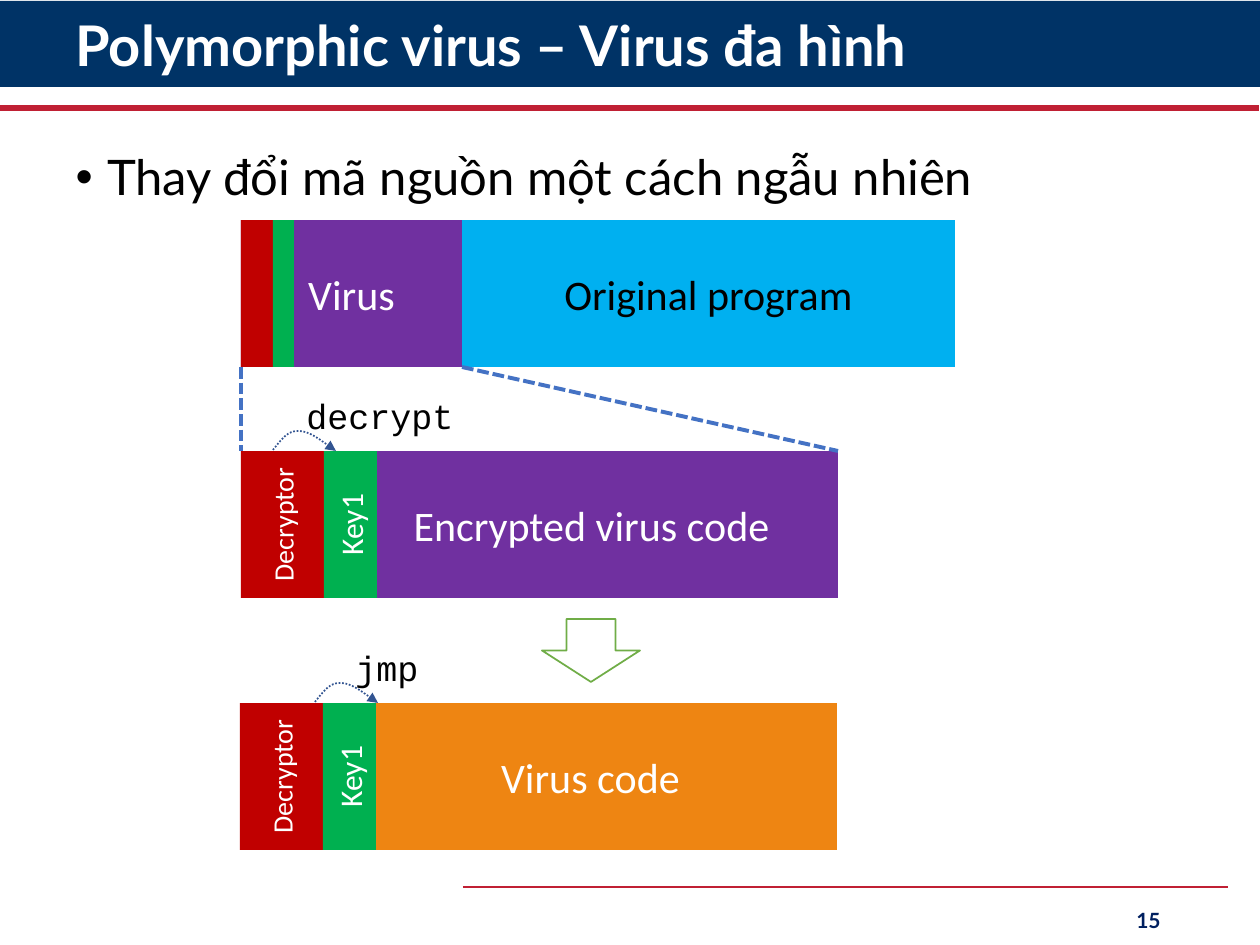
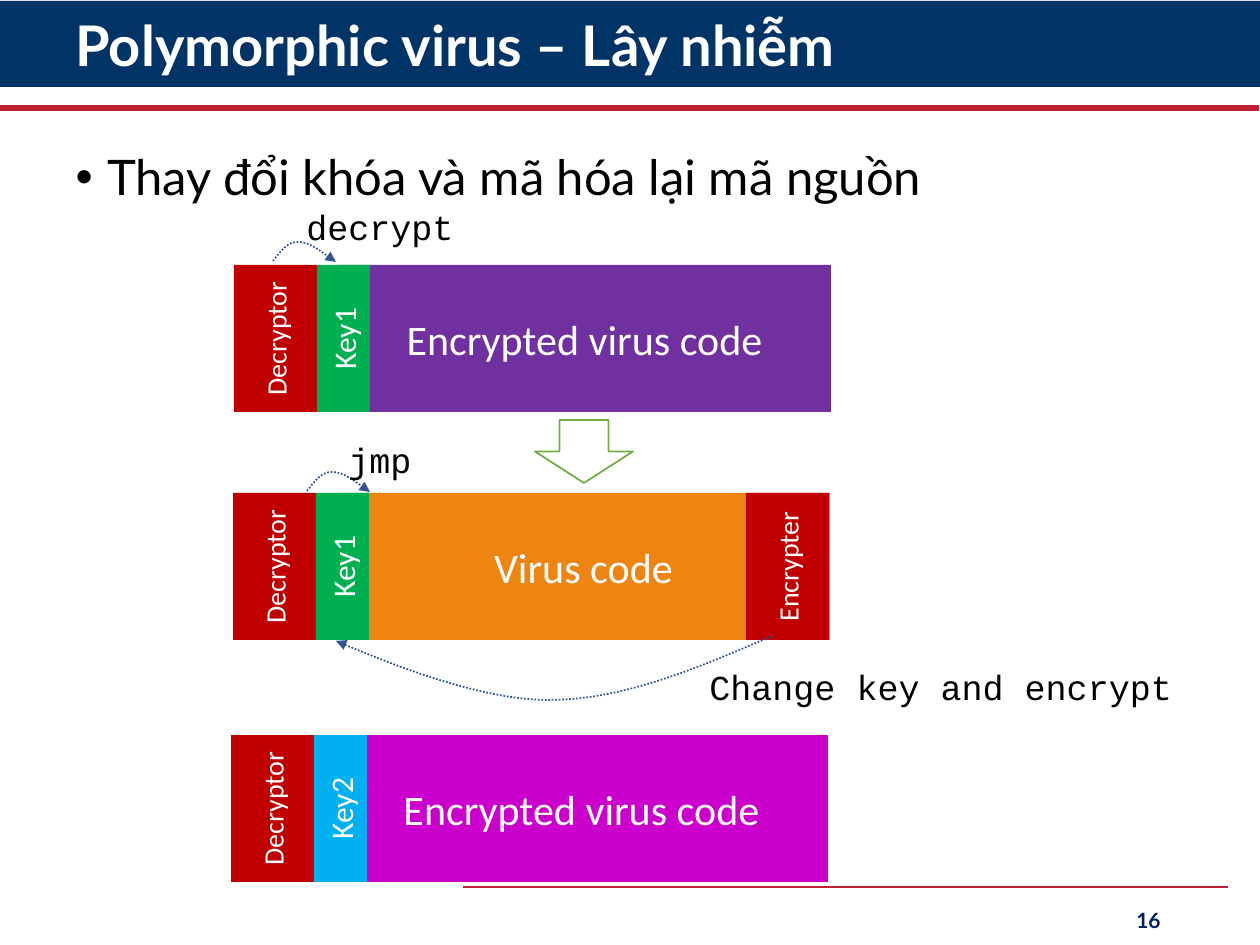
import lxml.etree
import pptx
import pptx.dml.color
import pptx.enum.dml
import pptx.enum.shapes
import pptx.enum.text
import pptx.oxml.ns
import pptx.util

PX = 914400 / 126
ALIGN = pptx.enum.text.PP_ALIGN
ANCHOR = pptx.enum.text.MSO_ANCHOR
DASH = pptx.enum.dml.MSO_LINE
SHAPE = pptx.enum.shapes.MSO_SHAPE

NAVY, CRIMSON, NUMBER_BLUE = "003366", "C02034", "002060"
WHITE, BLACK = "FFFFFF", "000000"
RED, GREEN, PURPLE, SKY = "C00000", "00B050", "7030A0", "00B0F0"
ORANGE, MAGENTA = "EE8512", "CC00CC"
DASH_BLUE, CURVE_BLUE, ARROW_GREEN = "4472C4", "325491", "70AD47"
HEADING_FONT, BLOCK_FONT, CODE_FONT = "Lato", "Calibri", "Courier New"

BLOCK_HEIGHT = 147
DECRYPTOR_WIDTH, KEY_WIDTH = 83, 53
CODE_OFFSET, CODE_WIDTH = 104, 493

# Cubic curve points, relative to the start
HOP_CURVE = [(8, -10), (15, -20), (26, -19), (36, -19), (59, -2), (63, 1)]
RETURN_CURVE = [(-76, 33), (-150, 64), (-222, 64),
                (-295, 65), (-429, 8), (-436, 5)]


def px(*lengths):
    return [pptx.util.Emu(round(length * PX)) for length in lengths]


def color(value):
    return pptx.dml.color.RGBColor.from_string(value)


def add_element(parent, tag, **attributes):
    return lxml.etree.SubElement(parent, pptx.oxml.ns.qn(tag), attributes)


def set_font(para, name, size, value, bold=False):
    font = para.font
    font.name, font.size, font.bold = name, pptx.util.Pt(size), bold
    font.color.rgb = color(value)


def set_line(shape, value, width, dash=None):
    shape.line.color.rgb = color(value)
    shape.line.width = pptx.util.Pt(width)
    if dash:
        shape.line.dash_style = dash


def add_block(page, left, top, width, fill, text="", size=24, value=WHITE,
              vertical=False, height=BLOCK_HEIGHT):
    block = page.shapes.add_shape(SHAPE.RECTANGLE,
                                  *px(left, top, width, height))
    block.shadow.inherit = False
    block.fill.solid()
    block.fill.fore_color.rgb = color(fill)
    block.line.fill.background()
    if text:
        frame = block.text_frame
        frame.text = text
        frame.vertical_anchor = ANCHOR.MIDDLE
        if vertical:
            frame._txBody.bodyPr.set("vert", "vert270")
        para = frame.paragraphs[0]
        para.alignment = ALIGN.CENTER
        set_font(para, BLOCK_FONT, size, value)
    return block


def add_line(page, start, end, value, width, dash=None):
    line = page.shapes.add_connector(
        pptx.enum.shapes.MSO_CONNECTOR.STRAIGHT, *px(*start, *end))
    set_line(line, value, width, dash)
    add_element(line.element.spPr, "a:effectLst")
    return line


def add_text(page, left, top, width, height, text):
    box = page.shapes.add_textbox(*px(left, top, width, height))
    box.text_frame.word_wrap = True
    box.text_frame.text = text
    return box.text_frame


def add_label(page, left, top, text, width=199):
    frame = add_text(page, left, top, width, 55, text)
    set_font(frame.paragraphs[0], CODE_FONT, 20, BLACK)


def add_curve(page, left, top, offsets):
    """Draw a dotted arrow through cubic curves, three points to a curve."""
    points = [px(left + dx, top + dy) for dx, dy in offsets]
    builder = page.shapes.build_freeform(*px(left, top))
    builder.add_line_segments(points, close=False)
    curve = builder.convert_to_shape()
    curve.shadow.inherit = False
    curve.fill.background()
    set_line(curve, CURVE_BLUE, 1, DASH.ROUND_DOT)
    add_element(curve.line._get_or_add_ln(), "a:tailEnd", type="triangle")

    segments = list(curve.element.iter(pptx.oxml.ns.qn("a:lnTo")))
    outline = segments[0].getparent()
    for first in range(0, len(segments), 3):
        cubic = add_element(outline, "a:cubicBezTo")
        for segment in segments[first:first + 3]:
            cubic.append(segment[0])
            outline.remove(segment)


def add_hop(page, left, top, text, label_dx, label_dy):
    add_curve(page, left, top, HOP_CURVE)
    add_label(page, left + label_dx, top + label_dy, text)


def add_down_arrow(page, left, top):
    arrow = page.shapes.add_shape(SHAPE.DOWN_ARROW, *px(left, top, 98, 63))
    arrow.shadow.inherit = False
    arrow.fill.solid()
    arrow.fill.fore_color.rgb = color(WHITE)
    set_line(arrow, ARROW_GREEN, 1)


def add_virus_row(page, left, top, code, fill, key="Key1", key_fill=GREEN):
    """Draw the code block with its decryptor and key in front."""
    add_block(page, left + CODE_OFFSET, top, CODE_WIDTH, fill, code)
    add_block(page, left, top, DECRYPTOR_WIDTH, RED, "Decryptor", 16,
              vertical=True)
    add_block(page, left + DECRYPTOR_WIDTH, top, KEY_WIDTH, key_fill, key, 18,
              vertical=True)


def place_placeholder(holder, left, top, width, height, text, anchor):
    holder.left, holder.top, holder.width, holder.height = px(
        left, top, width, height)
    frame = holder.text_frame
    frame.text = text
    frame.auto_size = pptx.enum.text.MSO_AUTO_SIZE.NONE
    frame.vertical_anchor = anchor
    para = frame.paragraphs[0]
    para.alignment = ALIGN.LEFT
    para.line_spacing = 0.9
    para.space_before = pptx.util.Pt(0)
    return para


def add_page(deck, title, bullet, number):
    page = deck.slides.add_slide(deck.slide_layouts[1])
    para = place_placeholder(page.shapes.title, 63, 10, 1110, 77, title,
                             ANCHOR.MIDDLE)
    set_font(para, HEADING_FONT, 32, WHITE, bold=True)

    para = place_placeholder(page.placeholders[1], 63, 147, 1134, 714, bullet,
                             ANCHOR.TOP)
    properties = para._p.get_or_add_pPr()
    properties.set("marL", "228600")
    properties.set("indent", "-228600")
    add_element(properties, "a:buFont", typeface="Arial")
    add_element(properties, "a:buChar", char="•")
    set_font(para, HEADING_FONT, 28, BLACK)

    frame = add_text(page, 890, 895, 283, 50, str(number))
    frame.vertical_anchor = ANCHOR.MIDDLE
    frame.paragraphs[0].alignment = ALIGN.RIGHT
    set_font(frame.paragraphs[0], HEADING_FONT, 12, NUMBER_BLUE, bold=True)
    return page


def add_layout_bands(page):
    """Draw the title band and rules, then move them to the shared layout."""
    bands = [add_block(page, 0, 1, 1260, NAVY, height=86),
             add_line(page, (-1, 108), (1259, 108), CRIMSON, 3.5),
             add_line(page, (463, 887), (1228, 887), CRIMSON, 1.5)]
    layout_tree = page.slide_layout.shapes.element
    for position, band in enumerate(bands, start=2):
        layout_tree.insert(position, band.element)


def draw_polymorphic(page):
    # Infected program
    add_block(page, 462, 220, 493, SKY, "Original program", value=BLACK)
    add_block(page, 241, 220, 221, PURPLE, "Virus")
    add_block(page, 241, 220, 32, RED)
    add_block(page, 273, 220, 21, GREEN)

    # Virus part enlarged
    add_virus_row(page, 241, 451, "Encrypted virus code", PURPLE)
    for start, end in [(241, 241), (462, 838)]:
        add_line(page, (start, 367), (end, 451), DASH_BLUE, 2.25,
                 DASH.SQUARE_DOT)
    add_hop(page, 273, 450, "decrypt", 21, -62)

    # Decrypted virus
    add_virus_row(page, 240, 703, "Virus code", ORANGE)
    add_hop(page, 315, 702, "jmp", 28, -62)
    add_down_arrow(page, 542, 619)


def draw_infection(page):
    # Encrypted virus
    add_virus_row(page, 234, 265, "Encrypted virus code", PURPLE)
    add_hop(page, 273, 261, "decrypt", 21, -62)

    # Decrypted virus with its encrypter
    add_virus_row(page, 233, 493, "Virus code", ORANGE)
    add_hop(page, 307, 491, "jmp", 29, -59)
    add_down_arrow(page, 535, 420)
    add_block(page, 746, 493, DECRYPTOR_WIDTH, RED, "Encrypter", 16,
              vertical=True)

    # Virus encrypted again with a new key
    add_virus_row(page, 231, 735, "Encrypted virus code", MAGENTA, "Key2", SKY)
    add_curve(page, 772, 636, RETURN_CURVE)
    add_label(page, 697, 659, "Change key and encrypt", 552)


def main():
    deck = pptx.Presentation()
    deck.slide_width, deck.slide_height = px(1260, 945)

    polymorphic = add_page(deck, "Polymorphic virus – Virus đa hình",
                           "Thay đổi mã nguồn một cách ngẫu nhiên", 15)
    add_layout_bands(polymorphic)
    draw_polymorphic(polymorphic)

    infection = add_page(deck, "Polymorphic virus – Lây nhiễm",
                         "Thay đổi khóa và mã hóa lại mã nguồn", 16)
    draw_infection(infection)

    deck.save("out.pptx")


if __name__ == "__main__":
    main()
